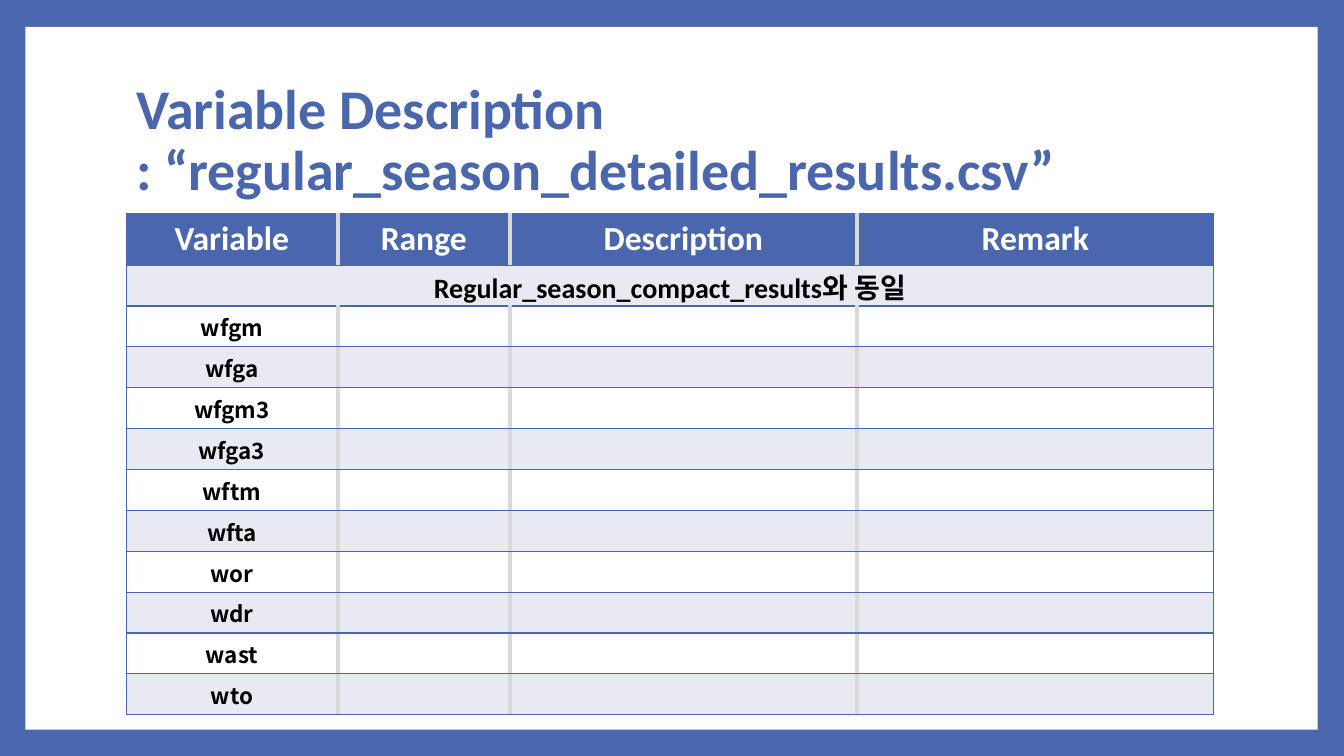
from lxml.etree import SubElement
from pptx import Presentation
from pptx.dml.color import RGBColor
from pptx.enum.shapes import MSO_SHAPE as Shape
from pptx.enum.text import MSO_ANCHOR as Anchor, PP_ALIGN as Align
from pptx.oxml.ns import qn
from pptx.util import Cm, Pt

BLUE, GREY, BAND, WHITE, BLACK = "4A66AC", "D9D9D9", "E9EAF1", "FFFFFF", "000000"
LATIN, KOREAN = "Calibri", "Noto Sans CJK KR"

HEADINGS = ["Variable", "Range", "Description", "Remark"]
COLUMN_WIDTHS = [5.33, 4.34, 8.74, 9]
SAME_AS = "Regular_season_compact_results와 동일"
VARIABLES = ["wfgm", "wfga", "wfgm3", "wfga3", "wftm",
             "wfta", "wor", "wdr", "wast", "wto"]
HEADER_HEIGHT, ROW_HEIGHT = 1.3, 1.03


def color(value):
    return RGBColor.from_string(value)


def paint(target, value):
    target.fill.solid()
    target.fill.fore_color.rgb = color(value)


def write(frame, text, size, font=LATIN, ink=BLACK, align=Align.CENTER, spacing=None):
    """Fill the first paragraph with bold text, one line per newline."""
    para = frame.paragraphs[0]
    para.alignment = align
    para.line_spacing = spacing
    for number, line in enumerate(text.split("\n")):
        if number:
            para.add_line_break()
        span = para.add_run()
        span.text = line
        span.font.size, span.font.bold, span.font.name = Pt(size), True, font
        span.font.color.rgb = color(ink)
        SubElement(span.font._element, qn("a:ea"), typeface=KOREAN)


def set_borders(cell, left, right):
    """Draw blue rules above and below, and the given colours at the sides."""
    properties = cell._tc.get_or_add_tcPr()
    sides = {"a:lnL": left, "a:lnR": right, "a:lnT": BLUE, "a:lnB": BLUE}
    for place, (tag, ink) in enumerate(sides.items()):
        width = Pt(3 if ink == GREY else 1)
        line = SubElement(properties, qn(tag), w=str(int(width)))
        fill = SubElement(line, qn("a:solidFill"))
        SubElement(fill, qn("a:srgbClr"), val=ink)
        properties.insert(place, line)


def add_panel(page, left, top, width, height):
    panel = page.shapes.add_shape(Shape.RECTANGLE, Cm(left), Cm(top), Cm(width), Cm(height))
    panel.shadow.inherit = False
    paint(panel, WHITE)
    panel.line.fill.background()


def add_title(page, text, left, top, width, height):
    box = page.shapes.add_textbox(Cm(left), Cm(top), Cm(width), Cm(height))
    box.text_frame.word_wrap = True
    box.text_frame.vertical_anchor = Anchor.MIDDLE
    write(box.text_frame, text, 40, ink=BLUE, align=Align.LEFT, spacing=0.9)


def add_variable_table(page, left, top):
    rows = [HEADINGS, [SAME_AS]] + [[name] for name in VARIABLES]
    last = len(HEADINGS) - 1
    height = HEADER_HEIGHT + ROW_HEIGHT * (len(rows) - 1)
    table = page.shapes.add_table(len(rows), len(HEADINGS), Cm(left), Cm(top),
                                  Cm(sum(COLUMN_WIDTHS)), Cm(height)).table
    for column, width in zip(table.columns, COLUMN_WIDTHS):
        column.width = Cm(width)
    for r, texts in enumerate(rows):
        table.rows[r].height = Cm(ROW_HEIGHT if r else HEADER_HEIGHT)
        for c in range(last + 1):
            cell = table.cell(r, c)
            paint(cell, BLUE if r == 0 else BAND if r % 2 else WHITE)
            merged = r == 1
            set_borders(cell, BLUE if merged or c == 0 else GREY,
                        BLUE if merged or c == last else GREY)
            if r:
                cell.vertical_anchor = Anchor.MIDDLE
                cell.margin_left = cell.margin_top = cell.margin_right = Cm(0.03)
                cell.margin_bottom = 0
            if c < len(texts):
                if r == 0:
                    write(cell.text_frame, texts[c], 24, ink=WHITE)
                elif merged:
                    write(cell.text_frame, texts[c], 20)
                else:
                    write(cell.text_frame, texts[c], 16, font=KOREAN)
    table.cell(1, 0).merge(table.cell(1, last))


def main():
    deck = Presentation()
    deck.slide_width, deck.slide_height = Cm(33.87), Cm(19.05)
    page = deck.slides.add_slide(deck.slide_layouts[6])
    paint(page.background, BLUE)
    add_panel(page, 0.64, 0.68, 32.57, 17.71)
    add_title(page, "Variable Description \n: “regular_season_detailed_results.csv”",
              3.18, 1.7, 27.43, 3.76)
    add_variable_table(page, 3.18, 5.38)
    deck.save("out.pptx")


if __name__ == "__main__":
    main()
